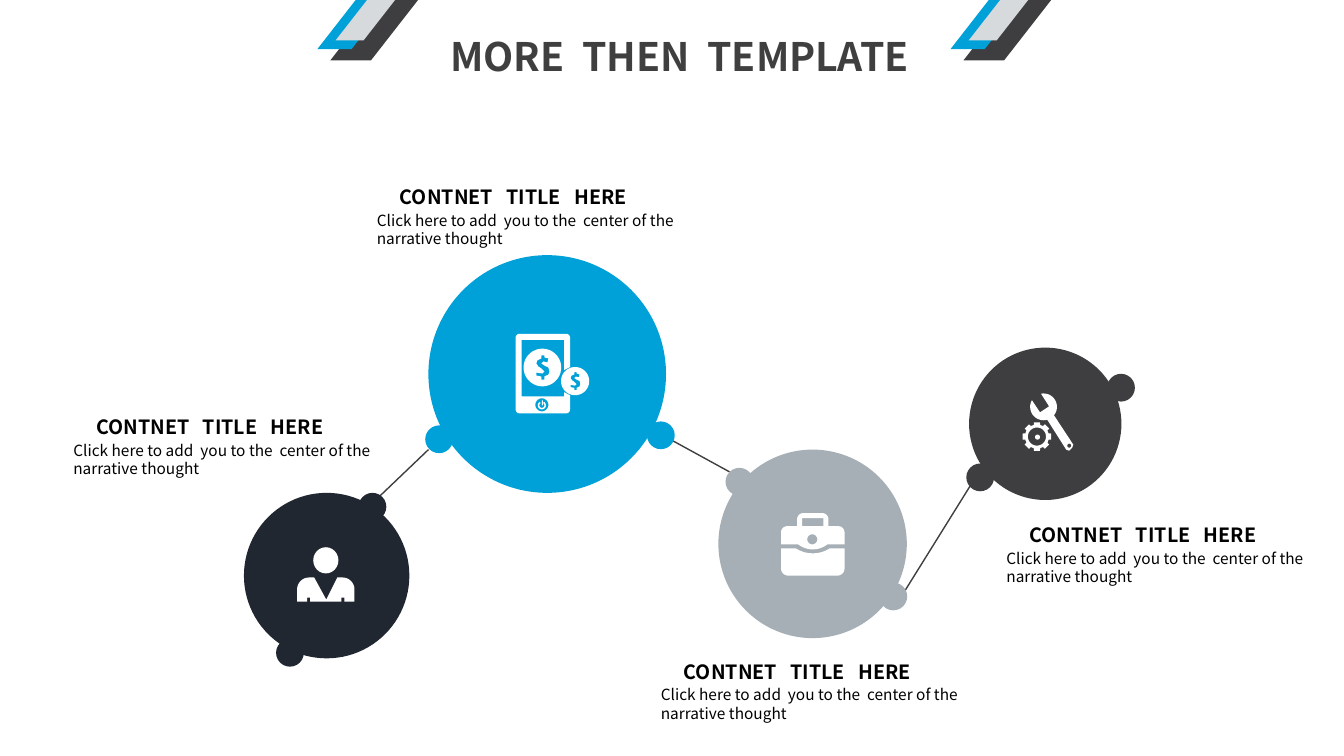
import math

import pptx
from lxml import etree
from pptx.dml.color import RGBColor
from pptx.enum.shapes import MSO_CONNECTOR, MSO_SHAPE
from pptx.enum.text import MSO_ANCHOR, MSO_AUTO_SIZE, PP_ALIGN
from pptx.oxml.ns import qn
from pptx.util import Cm, Pt

BLUE = RGBColor(0x00, 0xA1, 0xD8)
CHARCOAL = RGBColor(0x3E, 0x3E, 0x40)
GREY = RGBColor(0xA6, 0xAF, 0xB6)
NAVY = RGBColor(0x20, 0x27, 0x31)
SILVER = RGBColor(0xD6, 0xDA, 0xDD)
TEXT_GREY = RGBColor(0x3F, 0x3F, 0x3F)
BLACK = RGBColor(0x00, 0x00, 0x00)
WHITE = RGBColor(0xFF, 0xFF, 0xFF)

FONT = "Noto Sans CJK JP"
ICON_UNIT = Cm(0.0254)
DOT_SIZE = 0.7

# left, top, diameter, colour, corners of the two small dots
BUBBLES = [
    (10.8, 6.43, 5.99, BLUE, [(10.72, 10.72), (16.31, 10.62)]),
    (24.43, 8.76, 3.84, CHARCOAL, [(24.36, 11.68), (27.91, 9.42)]),
    (18.11, 11.33, 4.75, GREY, [(18.29, 11.79), (22.17, 14.68)]),
    (6.15, 12.42, 4.17, NAVY, [(9.04, 12.42), (6.96, 16.1)]),
]
LINKS = [(10.8, 11.33, 9.45, 12.62), (16.71, 10.97, 18.39, 11.89),
         (22.56, 15.29, 24.49, 12.19)]
CAPTIONS = [(9.25, 4.14), (1.6, 9.93), (16.41, 16.1), (25.12, 12.65)]
STRIPES = [(8.33, 2.21, 1.52, CHARCOAL), (8, 1.83, 1.24, BLUE),
           (8.46, 1.5, 1.02, SILVER)]

DOLLAR_RADIUS = 18.7
DOLLAR = [(2, 9), (2, 12), (-1, 12), (-1, 9), (-6, 8), (-6, 5), (0, 6), (2, 4),
          (-1, 1), (-4, -1), (-6, -4), (-5, -7), (-1, -9), (-1, -12), (2, -12),
          (2, -10), (6, -9), (5, -5), (1, -6), (-1, -4), (2, -2), (6, 0),
          (7, 4), (6, 7)]


def arc(x, y, radius, start, end):
    """Points along an arc; angles in degrees, clockwise from the right."""
    steps = max(6, int(abs(end - start) / 8))
    angles = [math.radians(start + (end - start) * i / steps) for i in range(steps + 1)]
    return [(x + radius * math.cos(a), y + radius * math.sin(a)) for a in angles]


def circle(x, y, radius):
    return arc(x, y, radius, 0, 360)


def add_filled(slide, kind, left, top, width, height, color):
    shape = slide.shapes.add_shape(kind, left, top, width, height)
    shape.shadow.inherit = False
    shape.fill.solid()
    shape.fill.fore_color.rgb = color
    shape.line.fill.background()
    return shape


def add_icon_part(slide, origin, *contours):
    """White outline in icon units; the contours after the first cut holes."""
    builder = None
    for contour in contours:
        points = [(x * 100, y * 100) for x, y in contour]
        if builder is None:
            builder = slide.shapes.build_freeform(*points[0], scale=ICON_UNIT / 100)
        else:
            builder.move_to(*points[0])
        builder.add_line_segments(points[1:], close=True)
    shape = builder.convert_to_shape(Cm(origin[0]), Cm(origin[1]))
    shape.shadow.inherit = False
    shape.fill.solid()
    shape.fill.fore_color.rgb = WHITE
    shape.line.fill.background()
    return shape


def add_icon_preset(slide, origin, kind, left, top, width, height):
    return add_filled(slide, kind, Cm(origin[0]) + left * ICON_UNIT,
                      Cm(origin[1]) + top * ICON_UNIT,
                      width * ICON_UNIT, height * ICON_UNIT, WHITE)


def add_coin(slide, origin, x, y, radius):
    ratio = radius / DOLLAR_RADIUS
    dollar = [(x + dx * ratio, y + dy * ratio) for dx, dy in DOLLAR]
    return add_icon_part(slide, origin, circle(x, y, radius), dollar)


def add_briefcase(slide, origin):
    base = ([(0, 35), (14, 35)] + arc(31.5, 8.6, 31.4, 123, 57) + [(48, 35), (63, 35)]
            + arc(56, 55, 7, 0, 90) + arc(7, 55, 7, 90, 180))
    lid = ([(63, 31)] + arc(31.5, 12.5, 23.5, 52, 128) + [(0, 31)]
           + arc(6, 19, 6, 180, 270) + [(16, 13)] + arc(22, 6, 6, 180, 270)
           + arc(41, 6, 6, 270, 360) + [(47, 13)] + arc(57, 19, 6, 270, 360))
    handle = [(21, 13), (21, 5), (42, 5), (42, 13)]
    slide.shapes.add_group_shape([
        add_icon_part(slide, origin, base),
        add_icon_part(slide, origin, lid, handle, circle(31, 26, 5))])


def add_phone(slide, origin):
    case = ([(48, 62), (6, 62), (6, 6), (48, 6), (48, 36), (54, 33)]
            + arc(50, 4, 4, 360, 270) + arc(4, 4, 4, 270, 180)
            + arc(4, 75, 4, 180, 90) + arc(50, 75, 4, 90, 0) + [(54, 61), (48, 58)])
    power = arc(26, 71, 4, -60, 240) + arc(26, 71, 2.5, 240, -60)
    slide.shapes.add_group_shape([
        add_icon_part(slide, origin, power),
        add_icon_preset(slide, origin, MSO_SHAPE.RECTANGLE, 26, 66, 1, 5),
        add_coin(slide, origin, 26.5, 33.5, DOLLAR_RADIUS),
        add_icon_part(slide, origin, case, circle(26, 70.5, 6.5)),
        add_coin(slide, origin, 59, 47, 14)])


def add_person(slide, origin):
    jacket = ([(0, 54), (10, 54), (10, 50), (13, 50), (13, 54), (44, 54), (44, 50),
               (47, 50), (47, 54), (57, 54)] + arc(45, 42, 12, 360, 270)
              + [(40, 30), (29, 52), (17, 30)] + arc(12, 42, 12, 270, 180))
    slide.shapes.add_group_shape([
        add_icon_preset(slide, origin, MSO_SHAPE.OVAL, 16, 0, 25, 26),
        add_icon_part(slide, origin, jacket)])


def add_tools(slide, origin):
    wrench = (arc(21.5, 13.5, 13.3, 259, 399) + [(51, 51), (50, 54), (47, 57), (44, 56)]
              + arc(21.5, 13.5, 13.3, 74, 210) + [(18, 19), (27, 13)])
    gear = []
    for tooth in range(0, 360, 45):
        for radius, turn in ((12, -15), (14.5, -12), (14.5, 12), (12, 15)):
            angle = math.radians(tooth + turn)
            gear.append((15 + radius * math.cos(angle), 43 + radius * math.sin(angle)))
    slide.shapes.add_group_shape([
        add_icon_part(slide, origin, wrench, circle(47, 52, 2)),
        add_icon_part(slide, origin, gear, circle(15, 43, 9)),
        add_icon_preset(slide, origin, MSO_SHAPE.OVAL, 13, 41, 5, 5)])


def add_stripes(slide, offset):
    stripes = []
    for left, width, height, color in STRIPES:
        stripe = add_filled(slide, MSO_SHAPE.PARALLELOGRAM, Cm(left + offset), 0,
                            Cm(width), Cm(height), color)
        stripe.adjustments[0] = 0.78
        stripes.append(stripe)
    slide.shapes.add_group_shape(stripes)


def add_link(slide, *ends):
    link = slide.shapes.add_connector(MSO_CONNECTOR.STRAIGHT, *map(Cm, ends))
    link.line.color.rgb = TEXT_GREY
    link.line.width = Pt(1)
    etree.SubElement(link._element.spPr, qn("a:effectLst"))


def format_runs(paragraph, size, bold, color):
    paragraph.alignment = PP_ALIGN.LEFT
    for run in paragraph.runs:
        run.font.name = FONT
        run.font.size = Pt(size)
        run.font.bold = bold
        run.font.color.rgb = color


def add_caption(slide, left, top):
    box = slide.shapes.add_textbox(Cm(left), Cm(top), Cm(8.36), Cm(2.21))
    frame = box.text_frame
    frame.word_wrap = True
    frame.text = ("CONTNET   TITLE   HERE\n"
                  "Click here to add  you to the  center of the\nnarrative thought")
    heading, *body = frame.paragraphs
    format_runs(heading, 14, True, BLACK)
    heading.line_spacing = Pt(28)
    heading._p.get_or_add_pPr().set("marL", str(Cm(0.58)))
    for paragraph in body:
        format_runs(paragraph, 11, False, BLACK)
        paragraph.line_spacing = Pt(13)
    body[0].space_before = Pt(2)


def fill_title(slide):
    title = slide.shapes.title
    title.left, title.top, title.width, title.height = map(Cm, (10.59, 0.69, 12.67, 1.63))
    frame = title.text_frame
    frame.text = "MORE  THEN  TEMPLATE"
    frame.word_wrap = True
    frame.auto_size = MSO_AUTO_SIZE.NONE
    frame.vertical_anchor = MSO_ANCHOR.TOP
    frame.margin_left, frame.margin_right = Cm(0.76), 0
    format_runs(frame.paragraphs[0], 28, True, TEXT_GREY)


def main():
    presentation = pptx.Presentation()
    presentation.slide_width, presentation.slide_height = Cm(33.88), Cm(19.05)
    slide = presentation.slides.add_slide(presentation.slide_layouts[5])
    fill_title(slide)
    for offset in (0, 15.96):
        add_stripes(slide, offset)
    for ends in LINKS:
        add_link(slide, *ends)
    for left, top, diameter, color, dots in BUBBLES:
        circles = [(left, top, diameter)] + [(x, y, DOT_SIZE) for x, y in dots]
        for x, y, size in circles:
            add_filled(slide, MSO_SHAPE.OVAL, Cm(x), Cm(y), Cm(size), Cm(size), color)
    add_briefcase(slide, (19.69, 12.93))
    add_phone(slide, (13, 8.41))
    add_person(slide, (7.49, 13.79))
    add_tools(slide, (25.76, 9.91))
    for left, top in CAPTIONS:
        add_caption(slide, left, top)
    presentation.save("out.pptx")


if __name__ == "__main__":
    main()
